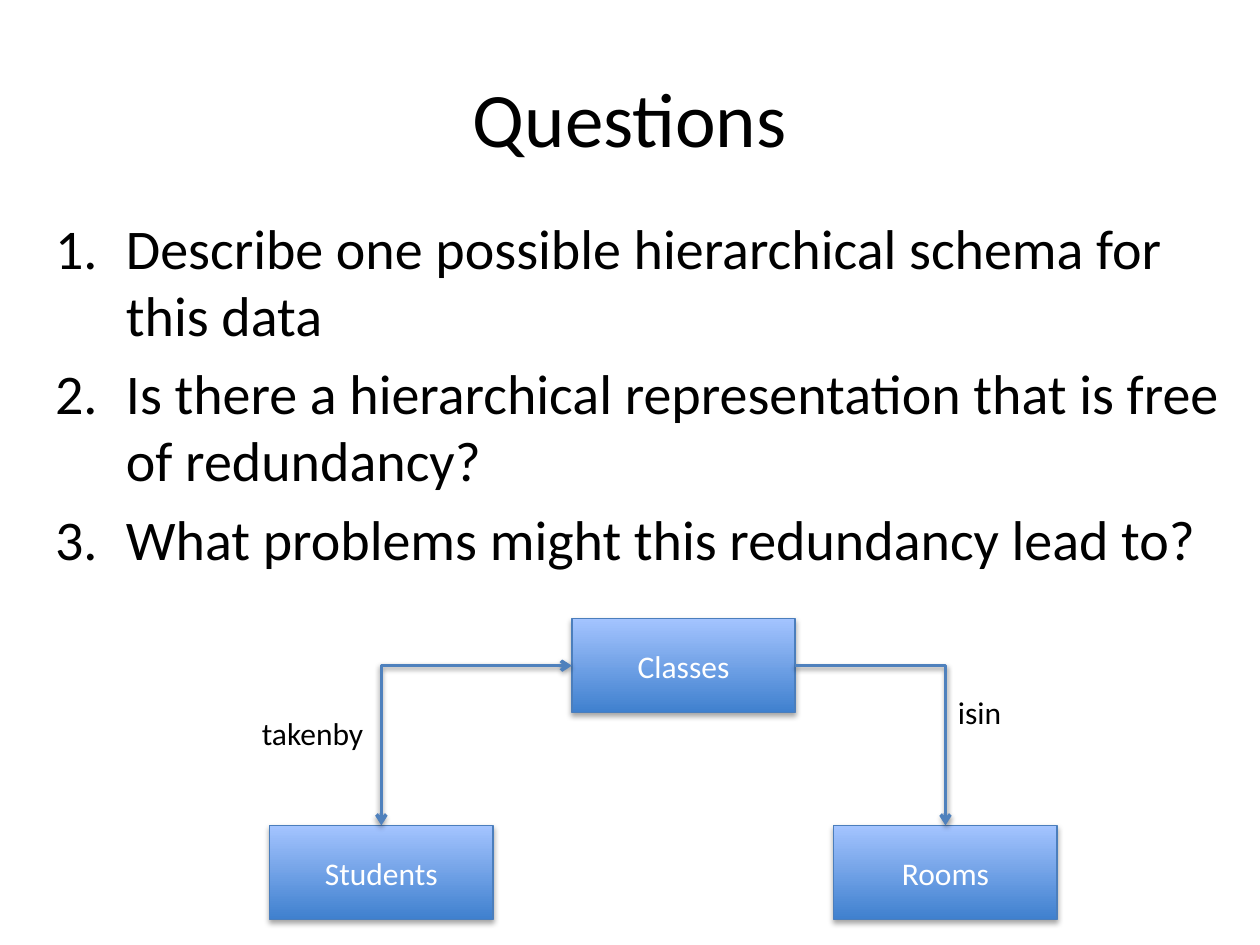
import collections

import lxml.etree
import pptx
import pptx.dml.color
import pptx.enum.dml
import pptx.enum.shapes
import pptx.enum.text
import pptx.oxml
import pptx.oxml.ns
import pptx.util

Cm = pptx.util.Cm
Pt = pptx.util.Pt
RGBColor = pptx.dml.color.RGBColor
Anchor = pptx.enum.text.MSO_ANCHOR
Align = pptx.enum.text.PP_ALIGN
Box = collections.namedtuple("Box", "left top width height")

BLACK = RGBColor(0x00, 0x00, 0x00)
WHITE = RGBColor(0xFF, 0xFF, 0xFF)
NODE_DARK = RGBColor(0x3F, 0x80, 0xCE)
NODE_LIGHT = RGBColor(0xA4, 0xC4, 0xFF)
NODE_EDGE = RGBColor(0x4B, 0x7E, 0xBC)
ARROW = RGBColor(0x4F, 0x81, 0xBD)

FONT = "Calibri"
NODE_WIDTH = Cm(4.5)
NODE_HEIGHT = Cm(1.9)
LABEL_WIDTH = Cm(2.64)
LABEL_HEIGHT = Cm(1.02)
QUESTIONS = [
    "Describe one possible hierarchical schema for this data",
    "Is there a hierarchical representation that is free of redundancy?",
    "What problems might this redundancy lead to?",
]


def add_element(parent, tag, **attributes):
    element = lxml.etree.SubElement(parent, pptx.oxml.ns.qn(tag))
    for name, value in attributes.items():
        element.set(name, str(value))
    return element


def add_shadow(shape, opacity, distance):
    effects = add_element(shape._element.spPr, "a:effectLst")
    shadow = add_element(effects, "a:outerShdw", blurRad=Pt(3.1), dist=Pt(distance),
                         dir=90 * 60000, rotWithShape=0)
    colour = add_element(shadow, "a:srgbClr", val=BLACK)
    add_element(colour, "a:alpha", val=opacity * 1000)


def format_text(frame, size, colour, align=Align.LEFT):
    for para in frame.paragraphs:
        para.alignment = align
        for span in para.runs:
            span.font.name = FONT
            span.font.size = Pt(size)
            span.font.color.rgb = colour


def add_text(page, box, text, size, align=Align.LEFT, anchor=Anchor.TOP):
    frame = page.shapes.add_textbox(*box).text_frame
    frame.word_wrap = True
    frame.vertical_anchor = anchor
    frame.text = text
    format_text(frame, size, BLACK, align)
    return frame


def add_questions(page, box):
    frame = add_text(page, box, "\n".join(QUESTIONS), 32)
    for para in frame.paragraphs:
        para.space_before = Pt(6.4)
        properties = para._p.get_or_add_pPr()
        properties.set("marL", str(Cm(1.43)))
        properties.set("indent", str(-Cm(1.43)))
        add_element(properties, "a:buFont", typeface="+mj-lt")
        add_element(properties, "a:buAutoNum", type="arabicPeriod")


def add_node(page, left, top, name):
    node = page.shapes.add_shape(pptx.enum.shapes.MSO_SHAPE.RECTANGLE,
                                 left, top, NODE_WIDTH, NODE_HEIGHT)
    node.fill.gradient()
    node.fill.gradient_angle = 90
    for stop, colour in zip(node.fill.gradient_stops, (NODE_DARK, NODE_LIGHT)):
        stop.color.rgb = colour
    node.line.color.rgb = NODE_EDGE
    node.line.width = Pt(0.75)
    add_shadow(node, 35, 1.8)
    frame = node.text_frame
    frame.vertical_anchor = Anchor.MIDDLE
    frame.text = name
    format_text(frame, 18, WHITE, Align.CENTER)
    return node


def add_link(page, parent, side, child, both_ways=False):
    start = parent.left + (parent.width if side == "right" else 0)
    link = page.shapes.add_connector(pptx.enum.shapes.MSO_CONNECTOR.ELBOW,
                                     start, parent.top + parent.height // 2,
                                     child.left + child.width // 2, child.top)
    link._element.spPr.find(pptx.oxml.ns.qn("a:prstGeom")).set("prst", "bentConnector2")
    link.line.color.rgb = ARROW
    link.line.width = Pt(2)
    line = link.line._get_or_add_ln()
    if both_ways:
        add_element(line, "a:headEnd", type="arrow")
    add_element(line, "a:tailEnd", type="arrow")
    add_shadow(link, 38, 1.6)


def add_diagram(page, box):
    lower = box.top + box.height - NODE_HEIGHT
    classes = add_node(page, box.left + Cm(6.5), box.top, "Classes")
    students = add_node(page, box.left + Cm(0.41), lower, "Students")
    rooms = add_node(page, box.left + box.width - NODE_WIDTH, lower, "Rooms")
    add_link(page, classes, "left", students, both_ways=True)
    add_link(page, classes, "right", rooms)
    isin_left = rooms.left + NODE_WIDTH // 2
    add_text(page, Box(isin_left, box.top + Cm(1.37), LABEL_WIDTH, LABEL_HEIGHT), "isin", 18)
    add_text(page, Box(box.left, box.top + Cm(1.8), LABEL_WIDTH, LABEL_HEIGHT), "takenby", 18)


def main():
    deck = pptx.Presentation()
    deck.slide_width = Cm(25.4)
    deck.slide_height = Cm(19.05)
    page = deck.slides.add_slide(deck.slide_layouts[6])
    page.background.fill.solid()
    page.background.fill.fore_color.rgb = WHITE
    title_box = Box(Cm(1.27), Cm(0.76), Cm(22.86), Cm(3.18))
    add_text(page, title_box, "Questions", 44, Align.CENTER, Anchor.MIDDLE)
    add_questions(page, Box(Cm(0.86), Cm(4.17), Cm(24.13), Cm(12.57)))
    add_diagram(page, Box(Cm(5.03), Cm(12.47), Cm(16.28), Cm(6.07)))
    deck.save("out.pptx")


if __name__ == "__main__":
    main()
